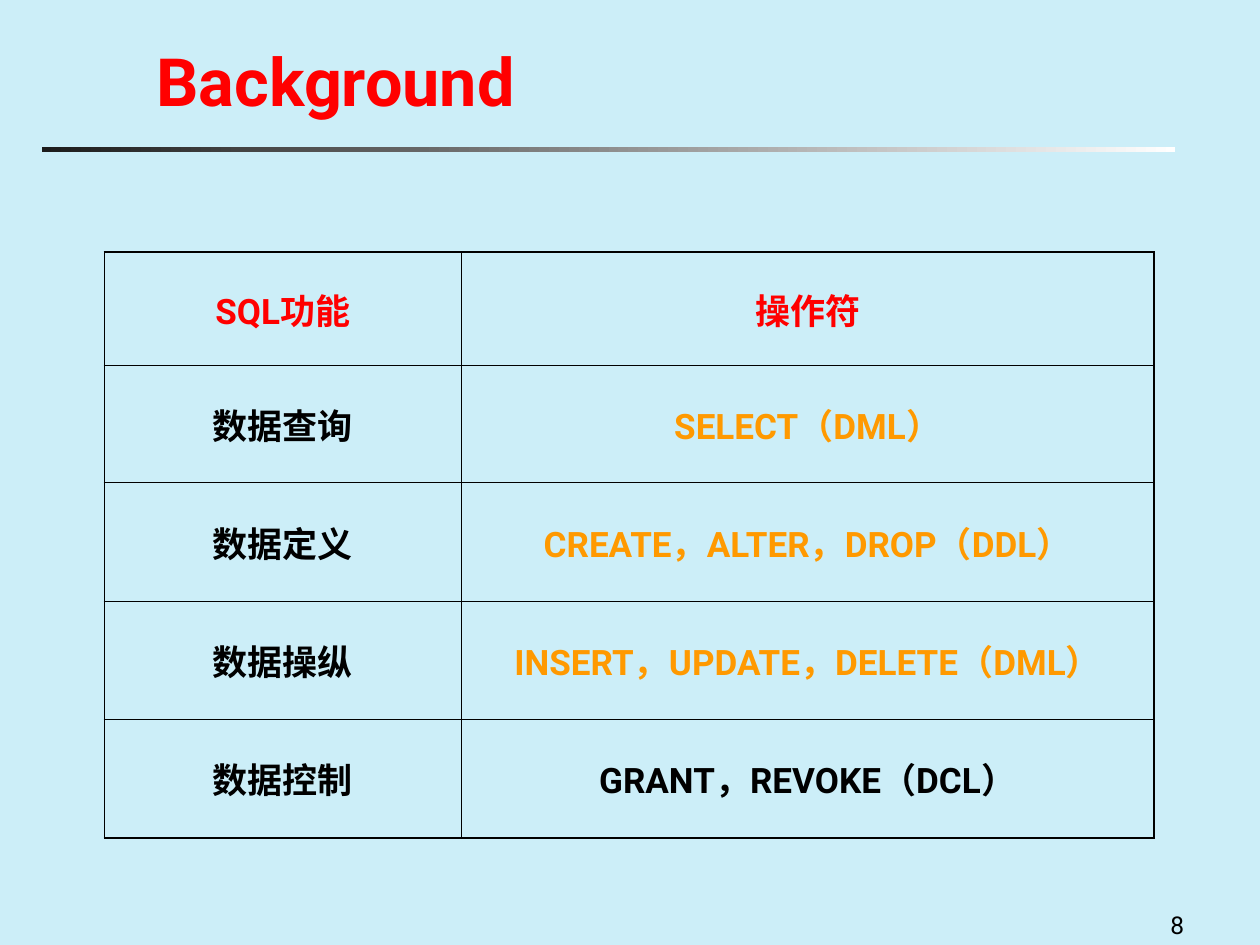
from lxml import etree
from pptx import Presentation
from pptx.dml.color import RGBColor
from pptx.enum.shapes import MSO_SHAPE
from pptx.enum.text import MSO_ANCHOR, PP_ALIGN
from pptx.oxml.ns import qn
from pptx.util import Inches, Pt

RECTANGLE = MSO_SHAPE.RECTANGLE
MIDDLE, BOTTOM = MSO_ANCHOR.MIDDLE, MSO_ANCHOR.BOTTOM
LEFT, CENTER = PP_ALIGN.LEFT, PP_ALIGN.CENTER

BACKGROUND = RGBColor(0xCC, 0xEE, 0xF8)
BLACK = RGBColor(0, 0, 0)
WHITE = RGBColor(0xFF, 0xFF, 0xFF)
CHARCOAL = RGBColor(0x1C, 0x1C, 0x1C)
RED = RGBColor(0xFF, 0, 0)
ORANGE = RGBColor(0xFF, 0x99, 0)

FONT = "Roboto"
OUTER, INNER = Pt(1.08), Pt(0.45)
COL_WIDTHS = [2.83, 5.5]
ROW_HEIGHTS = [0.9, 0.93, 0.94, 0.94, 0.94]
ROWS = [
    (("SQL功能", RED), ("操作符", RED)),
    (("数据查询", BLACK), ("SELECT（DML）", ORANGE)),
    (("数据定义", BLACK), ("CREATE，ALTER，DROP（DDL）", ORANGE)),
    (("数据操纵", BLACK), ("INSERT，UPDATE，DELETE（DML）", ORANGE)),
    (("数据控制", BLACK), ("GRANT，REVOKE（DCL）", BLACK)),
]


def write_text(tf, text, size, color, bold=False, align=LEFT):
    p = tf.paragraphs[0]
    p.alignment = align
    r = p.add_run()
    r.text = text
    for name, value in {"name": FONT, "size": Pt(size), "bold": bold}.items():
        setattr(r.font, name, value)
    r.font.color.rgb = color
    return p


def add_title(s, text):
    sp = s.shapes.title
    box = {"left": 1.14, "top": 0, "width": 8.86, "height": 1}
    for name, value in box.items():
        setattr(sp, name, Inches(value))
    sp.text_frame.vertical_anchor = BOTTOM
    write_text(sp.text_frame, text, 38, RED, bold=True)


def add_rule(s):
    sp = s.shapes.add_shape(RECTANGLE, Inches(0.33), Inches(1.17), Inches(9), Inches(0.04))
    sp.shadow.inherit = False
    sp.line.fill.background()
    sp.fill.gradient()
    sp.fill.gradient_angle = 180
    for stop, color in zip(sp.fill.gradient_stops, (WHITE, CHARCOAL)):
        stop.color.rgb = color


def add_page_number(s, text):
    sp = s.shapes.add_textbox(Inches(9.19), Inches(7.17), Inches(1.14), Inches(0.39))
    sp.text_frame.word_wrap = False
    write_text(sp.text_frame, text, 14, BLACK)


def set_borders(cell, widths):
    tc_pr = cell._tc.get_or_add_tcPr()
    for side, width in widths.items():
        ln = etree.SubElement(tc_pr, qn(f"a:ln{side}"), w=str(width))
        fill = etree.SubElement(ln, qn("a:solidFill"))
        etree.SubElement(fill, qn("a:srgbClr"), val=str(BLACK))


def add_table(s):
    n_rows, n_cols = len(ROWS), len(COL_WIDTHS)
    table = s.shapes.add_table(
        n_rows, n_cols, Inches(0.83), Inches(2),
        Inches(sum(COL_WIDTHS)), Inches(sum(ROW_HEIGHTS)),
    ).table
    table.first_row = table.horz_banding = False
    for col, width in zip(table.columns, COL_WIDTHS):
        col.width = Inches(width)
    for row, height in zip(table.rows, ROW_HEIGHTS):
        row.height = Inches(height)
    for i, row in enumerate(ROWS):
        for j, (text, color) in enumerate(row):
            cell = table.cell(i, j)
            set_borders(cell, {
                "L": OUTER if j == 0 else INNER,
                "R": OUTER if j == n_cols - 1 else INNER,
                "T": OUTER if i == 0 else INNER,
                "B": OUTER if i == n_rows - 1 else INNER,
            })
            cell.fill.background()
            cell.vertical_anchor = MIDDLE
            p = write_text(cell.text_frame, text, 20, color, bold=True, align=CENTER)
            p.space_before = Pt(5)


def main():
    prs = Presentation()
    prs.slide_width, prs.slide_height = Inches(10), Inches(7.5)
    s = prs.slides.add_slide(prs.slide_layouts[5])
    s.background.fill.solid()
    s.background.fill.fore_color.rgb = BACKGROUND
    add_rule(s)
    add_page_number(s, "8")
    add_title(s, "Background")
    add_table(s)
    prs.save("out.pptx")


if __name__ == "__main__":
    main()
